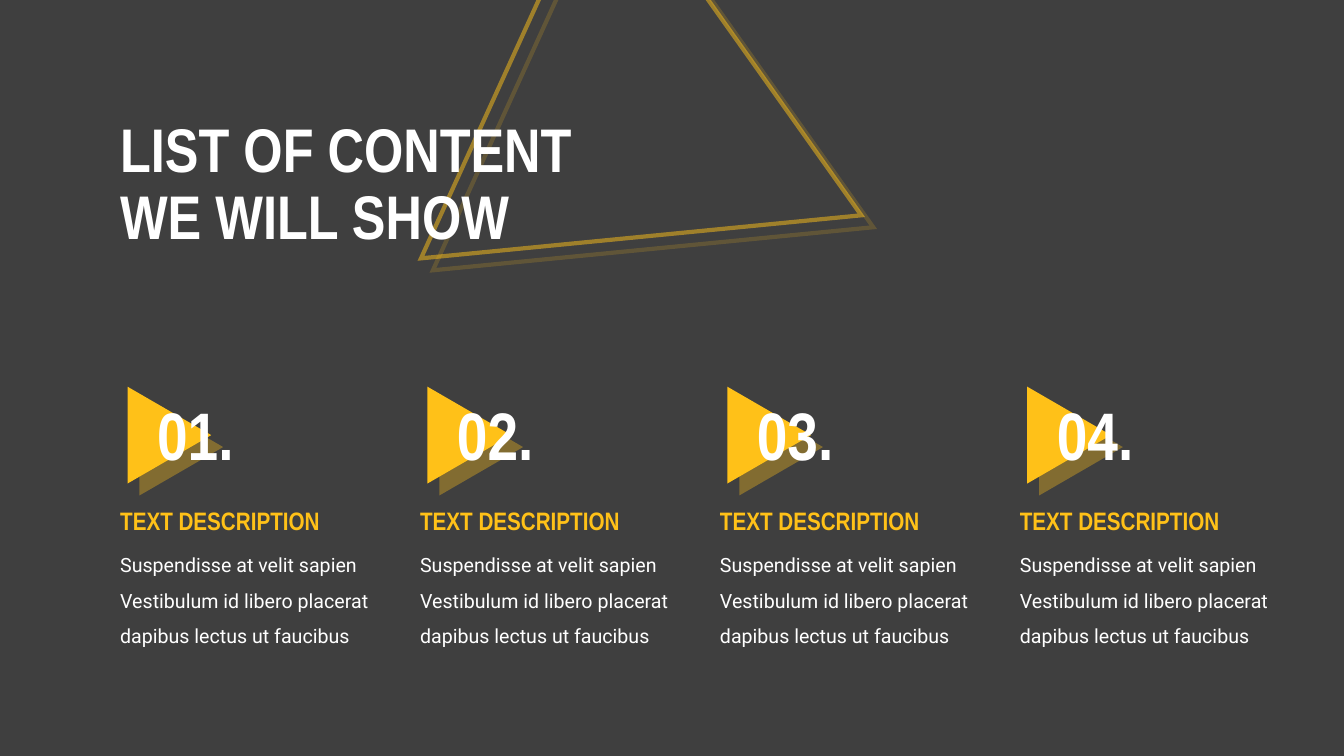
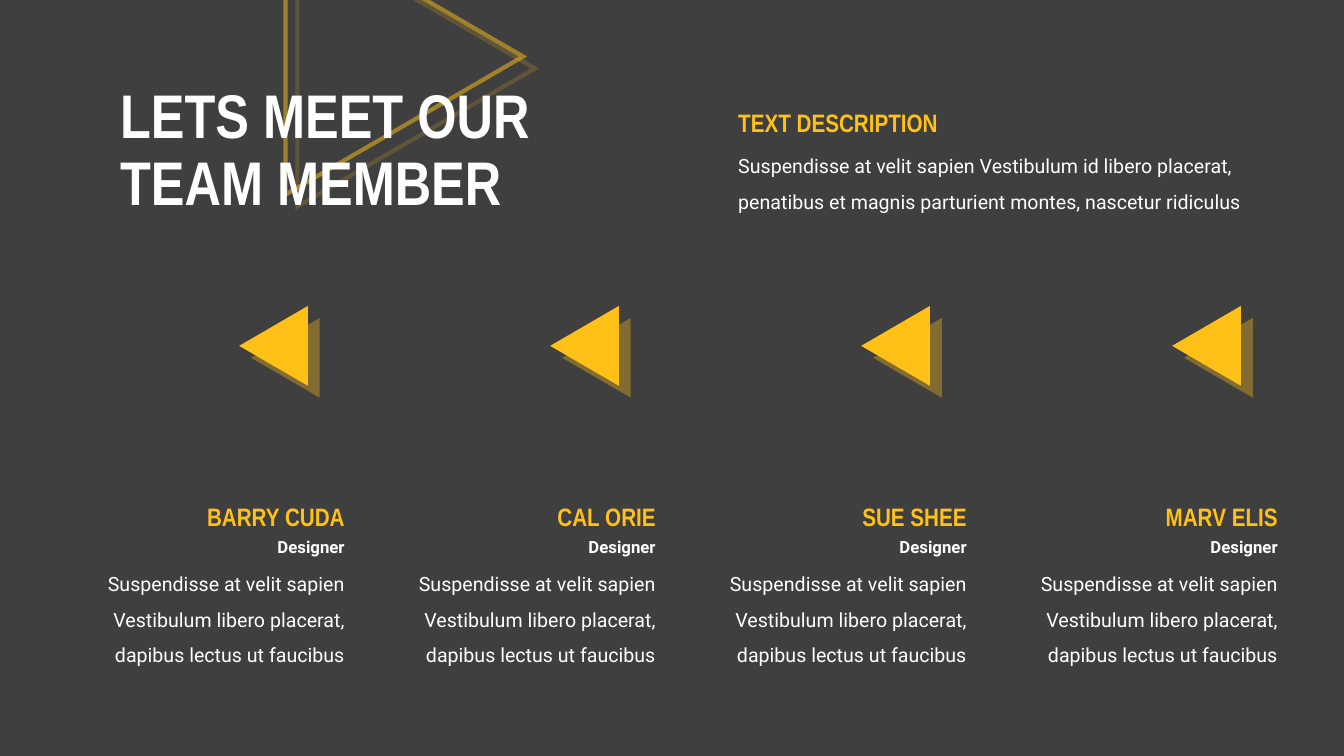
"""Build two dark slides with yellow triangles: a list of content and a team page."""
from dataclasses import dataclass

from lxml import etree
from pptx import Presentation
from pptx.dml.color import RGBColor
from pptx.enum.shapes import MSO_SHAPE
from pptx.enum.text import MSO_ANCHOR, PP_ALIGN
from pptx.oxml.ns import qn
from pptx.util import Cm, Pt

TRIANGLE = MSO_SHAPE.ISOSCELES_TRIANGLE
LEFT, RIGHT = PP_ALIGN.LEFT, PP_ALIGN.RIGHT
TOP, MIDDLE = MSO_ANCHOR.TOP, MSO_ANCHOR.MIDDLE


@dataclass(frozen=True)
class Theme:
    background: str = "3F3F3F"
    accent: str = "FFC118"
    text: str = "FFFFFF"
    display_font: str = "Arial Narrow"
    body_font: str = "Roboto"
    title_size: int = 44
    number_size: int = 48
    heading_size: int = 18
    body_size: int = 14
    role_size: int = 12
    outline_width: float = 3
    outline_opacity: int = 50
    shadow_opacity: int = 35
    shadow_distance: float = 12.1
    shadow_angle: int = 45
    margin: float = 2.78


THEME = Theme()


def write_text(box, text, *, size, font, color, bold=False, align=LEFT, spacing=1.0):
    para = box.text_frame.paragraphs[0]
    para.text = text
    para.alignment = align
    para.line_spacing = spacing
    for span in para.runs:
        span.font.size = Pt(size)
        span.font.name = font
        span.font.bold = bold
        span.font.color.rgb = RGBColor.from_string(color)


def set_opacity(color_element, percent):
    etree.SubElement(color_element, qn("a:alpha"), val=str(percent * 1000))


class DeckBuilder:
    def __init__(self, theme):
        self.theme = theme
        self.deck = Presentation()
        self.deck.slide_width, self.deck.slide_height = Cm(33.88), Cm(19.05)
        fill = self.deck.slide_master.background.fill
        fill.solid()
        fill.fore_color.rgb = RGBColor.from_string(theme.background)
        self.page = None

    def new_page(self):
        self.page = self.deck.slides.add_slide(self.deck.slide_layouts[6])

    def text(self, left, top, width, height, text, anchor=TOP, **style):
        box = self.page.shapes.add_textbox(Cm(left), Cm(top), Cm(width), Cm(height))
        box.text_frame.word_wrap = True
        box.text_frame.vertical_anchor = anchor
        write_text(box, text, **style)

    def title(self, top, text):
        self.text(self.theme.margin, top, 14.27, 4.01, text, anchor=MIDDLE,
                  size=self.theme.title_size, font=self.theme.display_font,
                  color=self.theme.text, bold=True, spacing=0.9)

    def number(self, left, top, text):
        self.text(left, top, 3.36, 2.29, text, size=self.theme.number_size,
                  font=self.theme.display_font, color=self.theme.text, bold=True)

    def heading(self, left, top, width, text, align=LEFT):
        self.text(left, top, width, 1.02, text, size=self.theme.heading_size,
                  font=self.theme.display_font, color=self.theme.accent,
                  bold=True, align=align)

    def role(self, left, top, width, text):
        self.text(left, top, width, 0.76, text, size=self.theme.role_size,
                  font=self.theme.body_font, color=self.theme.text,
                  bold=True, align=RIGHT)

    def body(self, left, top, width, height, text, align=LEFT):
        self.text(left, top, width, height, text, size=self.theme.body_size,
                  font=self.theme.body_font, color=self.theme.text,
                  align=align, spacing=1.5)

    def description(self, left, top, width, height, text):
        self.heading(left, top, 6.22, "TEXT DESCRIPTION")
        self.body(left, top + 0.9, width, height, text)

    def triangle(self, left, top, width, height, rotation, outlined=False):
        shape = self.page.shapes.add_shape(
            TRIANGLE, Cm(left), Cm(top), Cm(width), Cm(height))
        shape.rotation = rotation
        accent = RGBColor.from_string(self.theme.accent)
        if outlined:
            shape.fill.background()
            shape.line.width = Pt(self.theme.outline_width)
            shape.line.color.rgb = accent
            line = shape.line._get_or_add_ln()
            set_opacity(line.find(qn("a:solidFill"))[0], self.theme.outline_opacity)
            etree.SubElement(line, qn("a:miter"), lim="800000")
        else:
            shape.fill.solid()
            shape.fill.fore_color.rgb = accent
            shape.line.fill.background()
        self.add_shadow(shape)

    def add_shadow(self, shape):
        shape.shadow.inherit = False
        effects = shape._element.spPr.find(qn("a:effectLst"))
        shadow = etree.SubElement(
            effects, qn("a:outerShdw"), blurRad="0",
            dist=str(Pt(self.theme.shadow_distance)),
            dir=str(self.theme.shadow_angle * 60000), algn="tl", rotWithShape="0")
        color = etree.SubElement(shadow, qn("a:srgbClr"), val=self.theme.accent)
        set_opacity(color, self.theme.shadow_opacity)


def build_contents(builder):
    builder.new_page()
    builder.triangle(11.73, -1.4, 11.18, 9.65, 114.5, outlined=True)
    builder.title(2.69, "LIST OF CONTENT\nWE WILL SHOW")
    column_pitch = 7.56
    for index in range(4):
        left = THEME.margin + index * column_pitch
        builder.triangle(left + 0.27, 9.91, 2.44, 2.11, 90)
        builder.number(left + 0.93, 9.78, f"{index + 1:02}.")
        builder.description(
            left, 12.62, 7.14, 2.92,
            "Suspendisse at velit sapien Vestibulum id libero placerat "
            "dapibus lectus ut faucibus")


def build_team(builder):
    builder.new_page()
    builder.triangle(6.71, -1.57, 6.96, 5.99, 90, outlined=True)
    builder.title(1.83, "LETS MEET OUR\nTEAM MEMBER")
    builder.description(
        18.36, 2.57, 14.1, 2.03,
        "Suspendisse at velit sapien Vestibulum id libero placerat, "
        "penatibus et magnis parturient montes, nascetur ridiculus")
    column_pitch, column_width = 7.84, 7.21
    for index, name in enumerate(("BARRY CUDA", "CAL ORIE", "SUE SHEE", "MARV ELIS")):
        left = 1.73 + index * column_pitch
        builder.triangle(left + 4.16, 7.85, 2.01, 1.73, 270)
        builder.heading(left, 12.52, column_width, name, align=RIGHT)
        builder.role(left, 13.41, column_width, "Designer")
        builder.body(
            left, 14, column_width, 2.92,
            "Suspendisse at velit sapien Vestibulum libero placerat, "
            "dapibus lectus ut faucibus", align=RIGHT)


def main():
    builder = DeckBuilder(THEME)
    build_contents(builder)
    build_team(builder)
    builder.deck.save("out.pptx")


if __name__ == "__main__":
    main()
